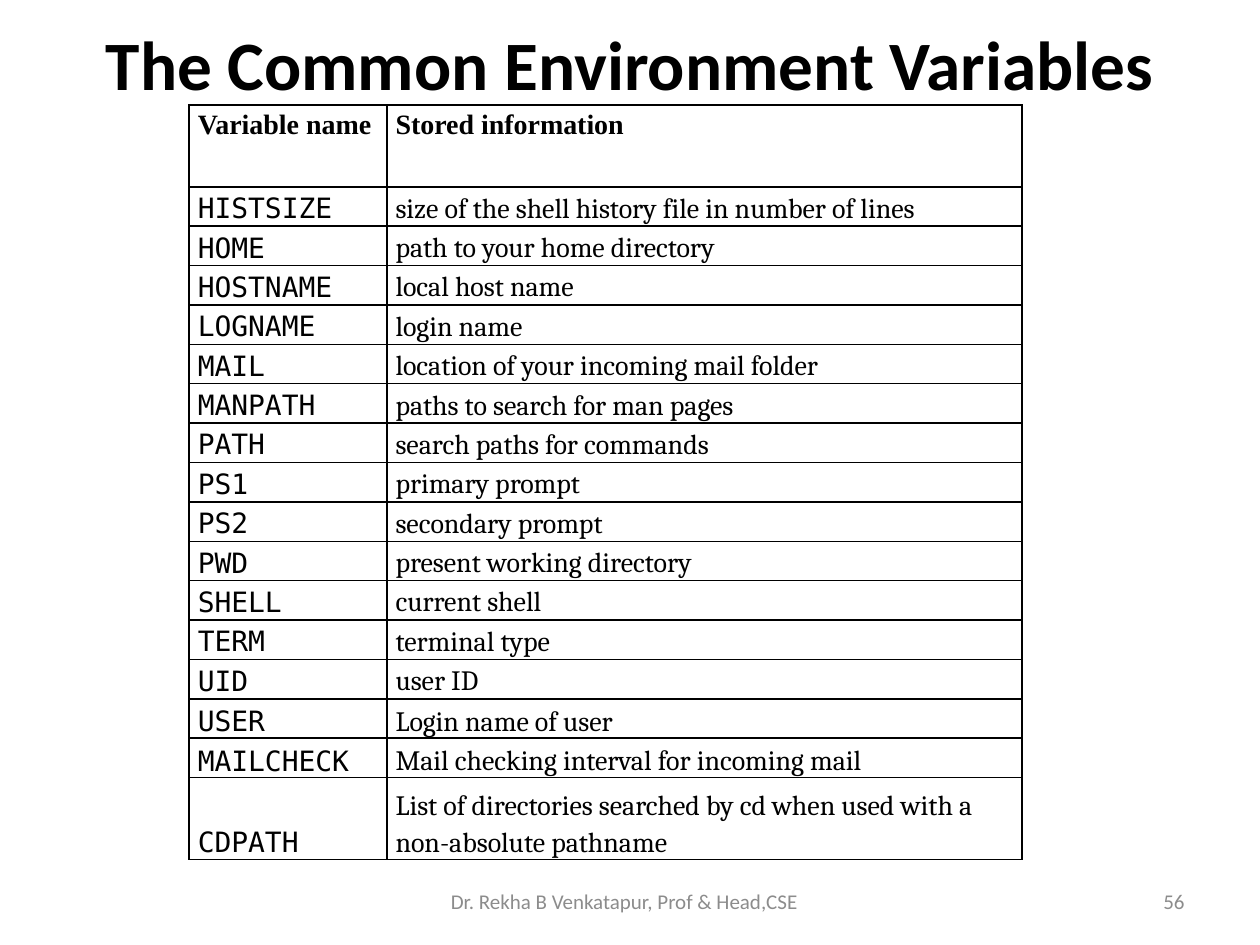
from pptx import Presentation
from pptx.util import Inches, Pt
from pptx.dml.color import RGBColor
from pptx.enum.text import MSO_ANCHOR, PP_ALIGN
from pptx.oxml import parse_xml
from pptx.oxml.ns import nsdecls

TOP, MIDDLE, BOTTOM = MSO_ANCHOR.TOP, MSO_ANCHOR.MIDDLE, MSO_ANCHOR.BOTTOM
CENTER, RIGHT = PP_ALIGN.CENTER, PP_ALIGN.RIGHT

SLIDE_W, SLIDE_H = Inches(10), Inches(7.5)
COLORS = {"ink": "000000", "footer": "8C8C8C", "paper": "FFFFFF"}
HEADING, BODY, CODE, SERIF = "Calibri", "Cambria", "DejaVu Sans Mono", "Times New Roman"

HEADER = ("Variable name", "Stored information")
VARIABLES = [
    ("HISTSIZE", "size of the shell history file in number of lines"),
    ("HOME", "path to your home directory"),
    ("HOSTNAME", "local host name"),
    ("LOGNAME", "login name"),
    ("MAIL", "location of your incoming mail folder"),
    ("MANPATH", "paths to search for man pages"),
    ("PATH", "search paths for commands"),
    ("PS1", "primary prompt"),
    ("PS2", "secondary prompt"),
    ("PWD", "present working directory"),
    ("SHELL", "current shell"),
    ("TERM", "terminal type"),
    ("UID", "user ID"),
    ("USER", "Login name of user"),
    ("MAILCHECK", "Mail checking interval for incoming mail"),
    ("CDPATH", "List of directories searched by cd when used with a non-absolute pathname"),
]
BOTTOM_ROWS = 3      # closing rows whose text sits on the cell floor
TALL_ROW = 10.85     # header and last row, percent of the table height
NAME_COLUMN = 23.75  # percent of the table width


def box(left, top, width, height):
    """Turn percentages of the slide into a left, top, width, height box."""
    return (int(SLIDE_W * left / 100), int(SLIDE_H * top / 100),
            int(SLIDE_W * width / 100), int(SLIDE_H * height / 100))


def style(paragraph, face, size, color, bold=False):
    font = paragraph.font
    font.name, font.size, font.bold = face, Pt(size), bold
    font.color.rgb = RGBColor.from_string(COLORS[color])


def add_label(slide, area, text, align, size, color, bold=False):
    frame = slide.shapes.add_textbox(*area).text_frame
    frame.word_wrap = True
    frame.vertical_anchor = MIDDLE
    line = frame.paragraphs[0]
    line.text, line.alignment = text, align
    style(line, HEADING, size, color, bold)


def outline(cell):
    """Draw the four borders; they must precede the fill in the cell XML."""
    props = cell._tc.get_or_add_tcPr()
    for index, side in enumerate(("lnL", "lnR", "lnT", "lnB")):
        props.insert(index, parse_xml(
            f'<a:{side} {nsdecls("a")} w="{Pt(1)}"><a:solidFill>'
            f'<a:srgbClr val="{COLORS["ink"]}"/></a:solidFill></a:{side}>'))


def fill_cell(cell, text, face, anchor, bold):
    cell.margin_left = cell.margin_right = Inches(0.07)
    cell.margin_top = cell.margin_bottom = 0
    cell.vertical_anchor = anchor
    cell.fill.solid()
    cell.fill.fore_color.rgb = RGBColor.from_string(COLORS["paper"])
    outline(cell)
    line = cell.text_frame.paragraphs[0]
    line.text, line.line_spacing = text, 1.15
    style(line, face, 16, "ink", bold)


def add_variable_table(slide, area):
    width, height = area[2:]
    entries = [HEADER] + VARIABLES
    last = len(entries) - 1
    table = slide.shapes.add_table(len(entries), len(HEADER), *area).table

    # Column and row proportions
    table.columns[0].width = int(width * NAME_COLUMN / 100)
    table.columns[1].width = width - table.columns[0].width
    tall = int(height * TALL_ROW / 100)
    regular = (height - 2 * tall) // (last - 1)

    for number, entry in enumerate(entries):
        is_header = number == 0
        table.rows[number].height = tall if number in (0, last) else regular
        anchor = TOP if is_header else BOTTOM if number > last - BOTTOM_ROWS else MIDDLE
        faces = (SERIF, SERIF) if is_header else (CODE, BODY)
        for column, (text, face) in enumerate(zip(entry, faces)):
            fill_cell(table.cell(number, column), text, face, anchor, is_header)


def add_footer(slide, area):
    left, top, width, height = area
    # Author in the middle, page number at the right edge
    add_label(slide, (left + int(width * 0.32), top, int(width * 0.35), height),
              "Dr. Rekha B Venkatapur, Prof & Head,CSE", CENTER, 12, "footer")
    add_label(slide, (left + int(width * 0.74), top, int(width * 0.26), height),
              "56", RIGHT, 12, "footer")


def main():
    deck = Presentation()
    deck.slide_width, deck.slide_height = SLIDE_W, SLIDE_H
    slide = deck.slides.add_slide(deck.slide_layouts[6])
    add_label(slide, box(5, 0, 90, 13.33), "The Common Environment Variables",
              CENTER, 39.6, "ink", bold=True)
    add_variable_table(slide, box(15, 11.11, 66.1, 79.87))
    add_footer(slide, box(5, 92.67, 90, 5.33))
    deck.save("out.pptx")


if __name__ == "__main__":
    main()
